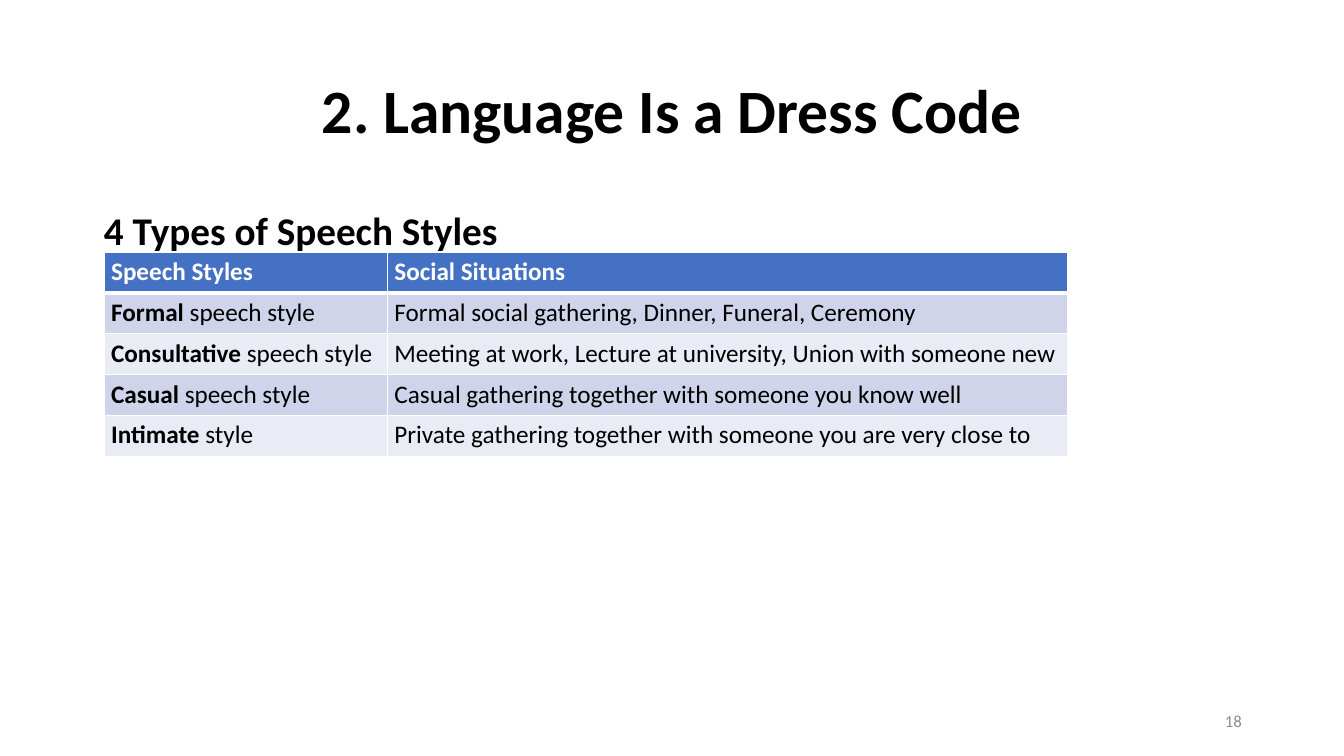
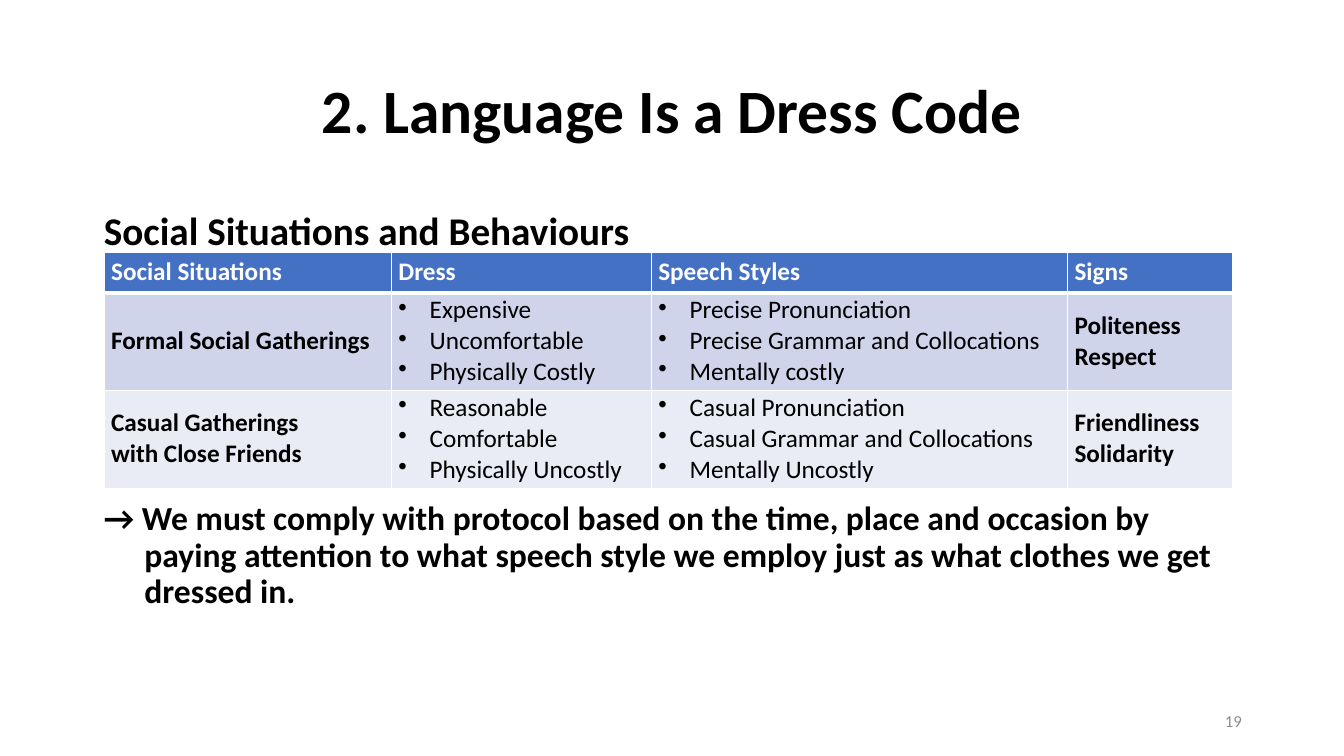
"""Build two slides on speech styles and social situations."""
from lxml.etree import SubElement
from pptx import Presentation
from pptx.dml.color import RGBColor
from pptx.enum.text import MSO_ANCHOR as Anchor, PP_ALIGN as Align
from pptx.oxml.ns import qn
from pptx.util import Cm, Pt

FONT = "Calibri"
COLORS = {
    "text": "000000",
    "header_text": "FFFFFF",
    "page": "8C8C8C",
    "header": "4471C4",
    "odd_row": "CFD4EA",
    "even_row": "E9EBF5",
    "border": "FFFFFF",
}
TITLE = "2. Language Is a Dress Code"
BODY_LEFT, BODY_WIDTH = 2.34, 29.21
TABLE_LEFT, TABLE_TOP = 2.62, 6.35
HEADER_HEIGHT = 1.03


def bold(text):
    """Return the runs of one bold paragraph."""
    return [(text, True)]


def plain(text):
    """Return the runs of one regular paragraph."""
    return [(text, False)]


SLIDES = [
    {
        "page": "18",
        "heading": "4 Types of Speech Styles",
        "columns": [7.14, 17.14],
        "row_height": 1.03,
        "header": ["Speech Styles", "Social Situations"],
        "rows": [
            [[("Formal ", True), ("speech style", False)],
             plain("Formal social gathering, Dinner, Funeral, Ceremony")],
            [[("Consultative ", True), ("speech style", False)],
             plain("Meeting at work, Lecture at university, Union with someone new")],
            [[("Casual ", True), ("speech style", False)],
             plain("Casual gathering together with someone you know well")],
            [[("Intimate ", True), ("style", False)],
             plain("Private gathering together with someone you are very close to")],
        ],
    },
    {
        "page": "19",
        "heading": "Social Situations and Behaviours",
        "columns": [7.24, 6.55, 10.49, 4.17],
        "row_height": 2.46,
        "header": ["Social Situations", "Dress", "Speech Styles", "Signs"],
        "rows": [
            [bold("Formal Social Gatherings"),
             ("Expensive", "Uncomfortable", "Physically Costly"),
             ("Precise Pronunciation", "Precise Grammar and Collocations",
              "Mentally costly"),
             bold("Politeness Respect")],
            [bold("Casual Gatherings\nwith Close Friends"),
             ("Reasonable", "Comfortable", "Physically Uncostly"),
             ("Casual Pronunciation", "Casual Grammar and Collocations",
              "Mentally Uncostly"),
             bold("Friendliness Solidarity")],
        ],
        "note": "→ We must comply with protocol based on the time, place and "
                "occasion by paying attention to what speech style we employ "
                "just as what clothes we get dressed in.",
    },
]


def add_runs(para, runs, size, color):
    """Add (text, bold) runs, turning newlines into line breaks."""
    for text, is_bold in runs:
        for index, line in enumerate(text.split("\n")):
            if index:
                para.add_line_break()
            span = para.add_run()
            span.text = line
            span.font.name = FONT
            span.font.size = Pt(size)
            span.font.bold = is_bold
            span.font.color.rgb = RGBColor.from_string(COLORS[color])


def set_hanging(para, indent, bullet=None):
    """Hang the first line by the indent, with an optional bullet."""
    props = para._p.get_or_add_pPr()
    props.set("marL", str(Cm(indent)))
    props.set("indent", str(-Cm(indent)))
    if bullet:
        SubElement(props, qn("a:buChar"), char=bullet)


def add_text(slide, runs, place, size, color="text", align=Align.LEFT,
             anchor=Anchor.TOP, spacing=1.0):
    """Add a one-paragraph text box and return the paragraph."""
    box = slide.shapes.add_textbox(*map(Cm, place))
    frame = box.text_frame
    frame.word_wrap = True
    frame.vertical_anchor = anchor
    para = frame.paragraphs[0]
    para.alignment = align
    para.line_spacing = spacing
    add_runs(para, runs, size, color)
    return para


def style_cell(cell, fill, top, bottom):
    """Set the borders, fill, margins and anchor of a cell."""
    props = cell._tc.get_or_add_tcPr()
    for side, width in (("L", 1), ("R", 1), ("T", top), ("B", bottom)):
        line = SubElement(props, qn(f"a:ln{side}"), w=str(Pt(width)))
        paint = SubElement(line, qn("a:solidFill"))
        SubElement(paint, qn("a:srgbClr"), val=COLORS["border"])
    cell.fill.solid()
    cell.fill.fore_color.rgb = RGBColor.from_string(COLORS[fill])
    cell.margin_left = Cm(0.18)
    cell.margin_right = cell.margin_top = 0
    cell.margin_bottom = Cm(0.03)
    cell.vertical_anchor = Anchor.MIDDLE


def fill_cell(cell, content, color):
    """Write a run list as one paragraph, or a tuple as bullets."""
    frame = cell.text_frame
    if isinstance(content, list):
        add_runs(frame.paragraphs[0], content, 18, color)
        return
    for index, item in enumerate(content):
        para = frame.add_paragraph() if index else frame.paragraphs[0]
        set_hanging(para, 0.79, "•")
        add_runs(para, plain(item), 18, color)


def add_grid(slide, data):
    """Add the table with a header row and alternating fills."""
    rows = [[bold(text) for text in data["header"]]] + data["rows"]
    heights = [HEADER_HEIGHT] + [data["row_height"]] * len(data["rows"])
    widths = data["columns"]
    table = slide.shapes.add_table(
        len(rows), len(widths), Cm(TABLE_LEFT), Cm(TABLE_TOP),
        Cm(sum(widths)), Cm(sum(heights))).table
    for column, width in zip(table.columns, widths):
        column.width = Cm(width)
    for index, (row, height) in enumerate(zip(rows, heights)):
        table.rows[index].height = Cm(height)
        fill = "odd_row" if index % 2 else "even_row"
        if index == 0:
            fill = "header"
        color = "text" if index else "header_text"
        top, bottom = 3 if index == 1 else 1, 1 if index else 3
        for cell, content in zip(table.rows[index].cells, row):
            style_cell(cell, fill, top, bottom)
            fill_cell(cell, content, color)


def add_page(deck, data):
    """Add one slide with title, heading, table, note and number."""
    slide = deck.slides.add_slide(deck.slide_layouts[6])
    add_text(slide, bold(TITLE), (BODY_LEFT, 1.02, BODY_WIDTH, 3.68), 44,
             align=Align.CENTER, anchor=Anchor.MIDDLE, spacing=0.9)
    add_text(slide, plain(data["page"]), (23.93, 17.65, 7.62, 1.02), 12, "page",
             align=Align.RIGHT, anchor=Anchor.MIDDLE)
    add_text(slide, bold(data["heading"]),
             (BODY_LEFT + 0.03, 5.08, BODY_WIDTH, 1.4), 28)
    add_grid(slide, data)
    if "note" in data:
        note = add_text(slide, bold(data["note"]),
                        (BODY_LEFT + 0.03, 12.52, BODY_WIDTH, 3.2), 24, spacing=0.9)
        set_hanging(note, 1.02)


def main():
    """Build and save the deck."""
    deck = Presentation()
    deck.slide_width, deck.slide_height = Cm(33.87), Cm(19.05)
    for data in SLIDES:
        add_page(deck, data)
    deck.save("out.pptx")


if __name__ == "__main__":
    main()
